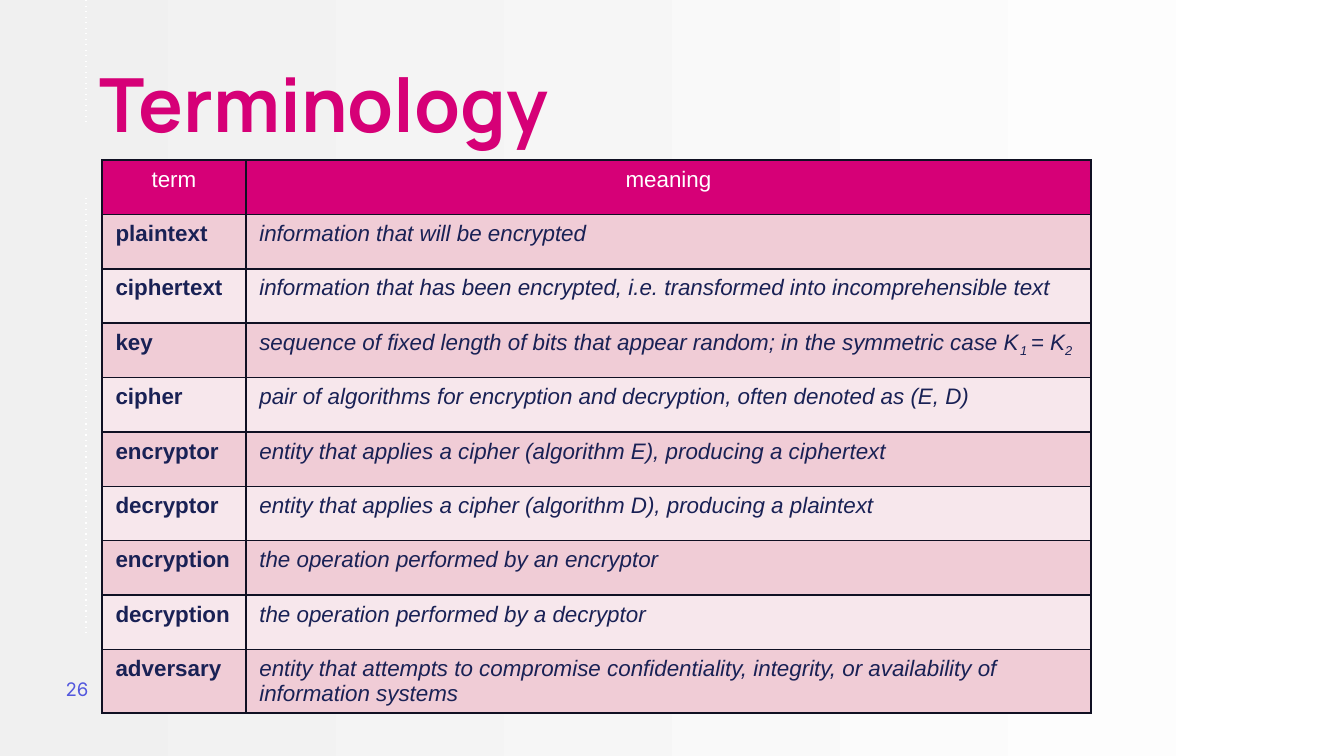
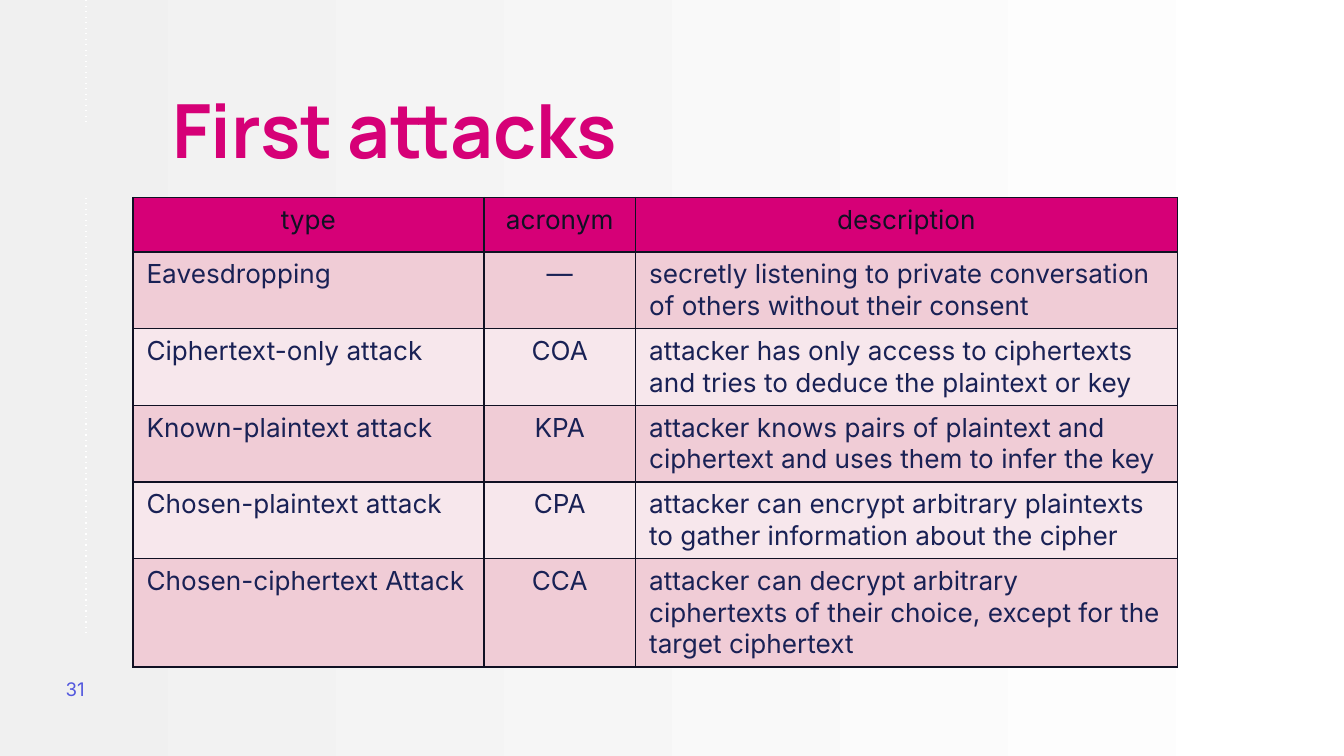
"""Build two table slides on cryptographic terms and first attacks."""
from dataclasses import dataclass

from lxml.etree import SubElement
from pptx import Presentation
from pptx.dml.color import RGBColor
from pptx.enum.shapes import MSO_CONNECTOR
from pptx.enum.text import MSO_ANCHOR, MSO_AUTO_SIZE, PP_ALIGN
from pptx.oxml.ns import qn
from pptx.util import Inches, Pt


@dataclass(frozen=True)
class Theme:
    accent: str = "D60077"
    ink: str = "192155"
    dark: str = "101023"
    white: str = "FFFFFF"
    gray: str = "F0F0F0"
    number: str = "5358DE"
    bands: tuple = ("F0CCD6", "F7E7EC")
    title_font: str = "Manrope"
    body_font: str = "Inter"
    term_font: str = "Arial"
    title_size: int = 40
    attack_size: int = 14
    term_size: int = 12
    number_size: int = 10


@dataclass(frozen=True)
class Column:
    width: float
    align: PP_ALIGN = PP_ALIGN.LEFT
    bold: bool = False
    italic: bool = False


THEME = Theme()
SLIDE_WIDTH = Inches(10)
SLIDE_HEIGHT = SLIDE_WIDTH * 9 // 16
GUIDE_X = 0.64
GUIDES = [(0, 0.92), (1.47, 4.71)]
ROW_HEIGHT = Inches(0.81) // 2

TERM_COLUMNS = [Column(1.07, bold=True), Column(6.29, italic=True)]
TERMS = [
    ("term", "meaning"),
    ("plaintext", "information that will be encrypted"),
    ("ciphertext", "information that has been encrypted, i.e. transformed into incomprehensible text"),
    ("key", "sequence of fixed length of bits that appear random; in the symmetric case K~1 ~= K~2"),
    ("cipher", "pair of algorithms for encryption and decryption, often denoted as (E, D)"),
    ("encryptor", "entity that applies a cipher (algorithm E), producing a ciphertext"),
    ("decryptor", "entity that applies a cipher (algorithm D), producing a plaintext"),
    ("encryption", "the operation performed by an encryptor"),
    ("decryption", "the operation performed by a decryptor"),
    ("adversary", "entity that attempts to compromise confidentiality, integrity, "
                  "or availability of information systems"),
]

ATTACK_COLUMNS = [Column(2.61), Column(1.13, PP_ALIGN.CENTER), Column(4.03)]
ATTACKS = [
    ("type", "acronym", "description"),
    ("Eavesdropping", "—", "secretly listening to private conversation of others without their consent"),
    ("Ciphertext-only attack", "COA",
     "attacker has only access to ciphertexts and tries to deduce the plaintext or key"),
    ("Known-plaintext attack", "KPA",
     "attacker knows pairs of plaintext and ciphertext and uses them to infer the key"),
    ("Chosen-plaintext attack", "CPA",
     "attacker can encrypt arbitrary plaintexts to gather information about the cipher"),
    ("Chosen-ciphertext Attack", "CCA",
     "attacker can decrypt arbitrary ciphertexts of their choice, except for the target ciphertext"),
]


class Deck:
    def __init__(self, theme):
        self.theme = theme
        self.prs = Presentation()
        self.prs.slide_width, self.prs.slide_height = SLIDE_WIDTH, SLIDE_HEIGHT
        self.s = None

    def slide(self, number):
        self.s = self.prs.slides.add_slide(self.prs.slide_layouts[5])
        fill = self.s.background.fill
        fill.gradient()
        fill.gradient_angle = 180
        for stop, color in zip(fill.gradient_stops, (self.theme.white, self.theme.gray)):
            stop.color.rgb = RGBColor.from_string(color)
        for top, bottom in GUIDES:
            self.guide(top, bottom)
        self.number(number)

    def guide(self, top, bottom):
        x = Inches(GUIDE_X)
        line = self.s.shapes.add_connector(
            MSO_CONNECTOR.STRAIGHT, x, Inches(top), x, Inches(bottom))
        line.line.color.rgb = RGBColor.from_string(self.theme.white)
        line.line.width = Pt(0.75)
        spPr = line._element.spPr
        SubElement(spPr.get_or_add_ln(), qn("a:prstDash"), val="dot")
        SubElement(spPr, qn("a:effectLst"))

    def number(self, number):
        sp = self.s.shapes.add_textbox(Inches(0.39), Inches(4.91), Inches(0.6), Inches(0.43))
        p = self.frame(sp, str(number), MSO_ANCHOR.MIDDLE)
        self.font(p, self.theme.body_font, self.theme.number_size, self.theme.number)

    def title(self, text, left, top, height):
        sp = self.s.shapes.title
        sp.left, sp.top = Inches(left), Inches(top)
        sp.width, sp.height = Inches(6.53), Inches(height)
        p = self.frame(sp, text, MSO_ANCHOR.TOP)
        p.alignment = PP_ALIGN.LEFT
        p.line_spacing = 0.8
        self.font(p, self.theme.title_font, self.theme.title_size, self.theme.accent, bold=True)

    def frame(self, sp, text, anchor):
        tf = sp.text_frame
        tf.text = text
        tf.word_wrap = True
        tf.auto_size = MSO_AUTO_SIZE.NONE
        tf.vertical_anchor = anchor
        tf.margin_left = tf.margin_right = tf.margin_top = tf.margin_bottom = Inches(0.1)
        return tf.paragraphs[0]

    def font(self, p, name, size, color, bold=False, italic=False):
        p.font.name, p.font.size = name, Pt(size)
        p.font.bold, p.font.italic = bold, italic
        p.font.color.rgb = RGBColor.from_string(color)

    def table(self, rows, columns, left, top, font, size, header_color):
        width = Inches(sum(column.width for column in columns))
        table = self.s.shapes.add_table(
            len(rows), len(columns), Inches(left), Inches(top),
            width, ROW_HEIGHT * len(rows)).table
        table.horz_banding = False
        for c, column in enumerate(columns):
            table.columns[c].width = Inches(column.width)
            for r, row in enumerate(rows):
                cell = table.cell(r, c)
                p = self.cell_text(cell, row[c])
                if r == 0:
                    p.alignment = PP_ALIGN.CENTER
                    self.font(p, font, size, header_color)
                    self.cell_box(cell, self.theme.accent)
                else:
                    p.alignment = column.align
                    self.font(p, font, size, self.theme.ink, column.bold, column.italic)
                    self.cell_box(cell, self.theme.bands[(r - 1) % 2])

    def cell_text(self, cell, text):
        p = cell.text_frame.paragraphs[0]
        for i, part in enumerate(text.split("~")):
            r = p.add_run()
            r.text = part
            if i % 2:
                r._r.get_or_add_rPr().set("baseline", "-25000")
        return p

    def cell_box(self, cell, fill):
        tcPr = cell._tc.get_or_add_tcPr()
        for side in "LRTB":
            ln = SubElement(tcPr, qn(f"a:ln{side}"), w=str(Pt(1)))
            SubElement(SubElement(ln, qn("a:solidFill")), qn("a:srgbClr"), val=self.theme.dark)
        cell.fill.solid()
        cell.fill.fore_color.rgb = RGBColor.from_string(fill)


def main():
    deck = Deck(THEME)

    deck.slide(26)
    deck.title("Terminology", 0.64, 0.46, 0.74)
    deck.table(TERMS, TERM_COLUMNS, 0.76, 1.19, THEME.term_font, THEME.term_size, THEME.white)

    deck.slide(31)
    deck.title("First attacks", 1.18, 0.65, 0.82)
    deck.table(ATTACKS, ATTACK_COLUMNS, 0.99, 1.47, THEME.body_font, THEME.attack_size, THEME.dark)

    deck.prs.save("out.pptx")


if __name__ == "__main__":
    main()
